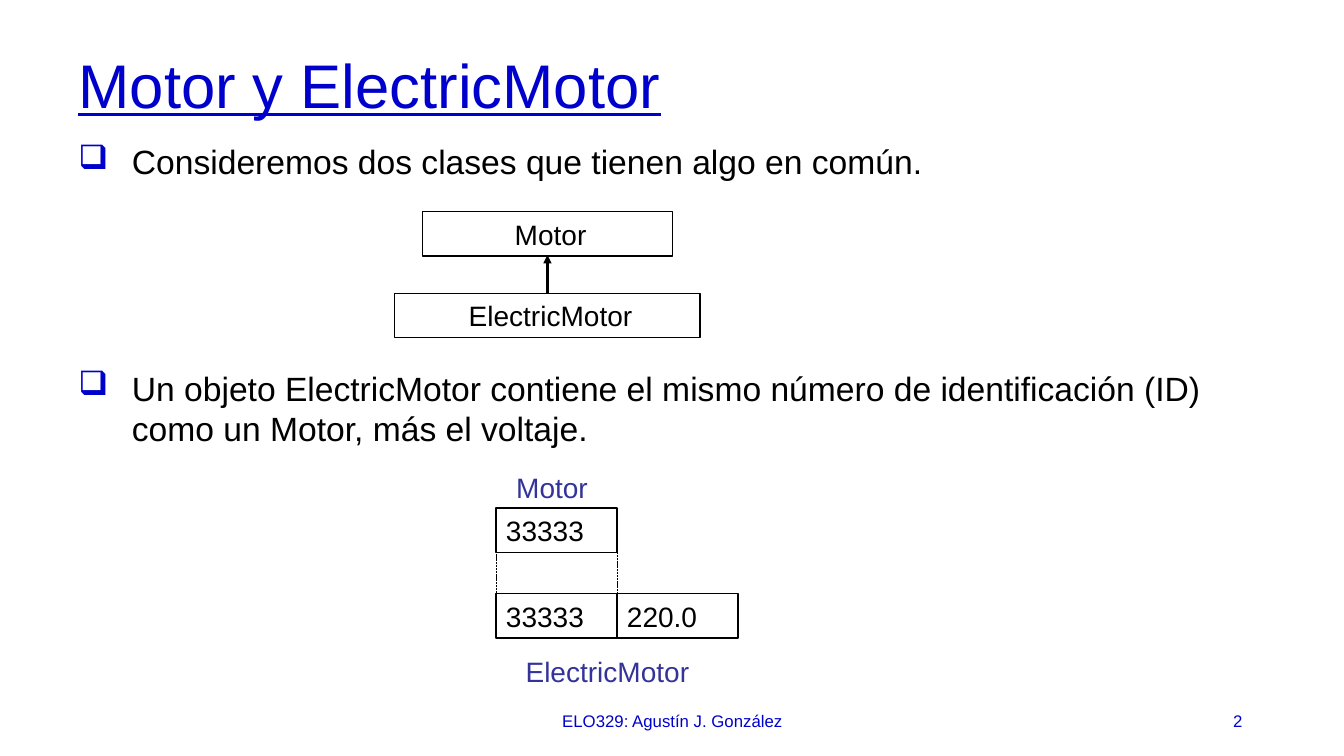
from lxml import etree
from pptx import Presentation
from pptx.dml.color import RGBColor
from pptx.enum import dml, shapes, text
from pptx.oxml.ns import qn
from pptx.util import Inches, Pt

BLUE, INDIGO, BLACK = "0000CC", "333399", "000000"
CENTER, LEFT, RIGHT = text.PP_ALIGN.CENTER, text.PP_ALIGN.LEFT, text.PP_ALIGN.RIGHT
TOP, MIDDLE = text.MSO_ANCHOR.TOP, text.MSO_ANCHOR.MIDDLE


def rgb(color):
    return RGBColor.from_string(color)


def write(shape, words, size=20, color=BLACK, align=LEFT, anchor=MIDDLE,
          underline=False, bullet=None, spacing=None, indent=0):
    """Fill the shape's frame with one formatted paragraph."""
    frame = shape.text_frame
    frame.word_wrap = True
    frame.vertical_anchor = anchor
    frame.margin_left = Inches(0.1 + indent)
    paragraph = frame.paragraphs[0]
    paragraph.alignment = align
    if spacing:
        paragraph.line_spacing = spacing
    if bullet:
        hanging = Inches(0.53)
        properties = paragraph._p.get_or_add_pPr()
        properties.set("marL", str(hanging))
        properties.set("indent", str(-hanging))
        bullet_color = etree.SubElement(properties, qn("a:buClr"))
        etree.SubElement(bullet_color, qn("a:srgbClr"), val=BLUE)
        etree.SubElement(properties, qn("a:buChar"), char=bullet)
    run = paragraph.add_run()
    run.text = words
    run.font.name = "Arial"
    run.font.size = Pt(size)
    run.font.color.rgb = rgb(color)
    if underline:
        run.font.underline = True


class ClassSlide:
    def __init__(self, slide):
        self.shapes = slide.shapes

    def text(self, words, left, top, width, height, **style):
        area = self.shapes.add_textbox(*map(Inches, (left, top, width, height)))
        write(area, words, **style)

    def bullet(self, words, top, height):
        self.text(words, 0.68, top, 12.08, height, size=24, anchor=TOP, bullet="❑")

    def box(self, words, left, top, width, **style):
        box = self.shapes.add_shape(shapes.MSO_SHAPE.RECTANGLE,
                                    *map(Inches, (left, top, width, 0.44)))
        box.shadow.inherit = False
        box.fill.background()
        box.line.color.rgb = rgb(BLACK)
        box.line.width = Pt(1)
        write(box, words, **style)

    def vertical(self, x, start, end, width, dashed=False, arrow=False):
        line = self.shapes.add_connector(shapes.MSO_CONNECTOR.STRAIGHT,
                                         *map(Inches, (x, start, x, end)))
        line.line.color.rgb = rgb(BLACK)
        line.line.width = Pt(width)
        if dashed:
            line.line.dash_style = dml.MSO_LINE.SQUARE_DOT
        if arrow:
            etree.SubElement(line.line._get_or_add_ln(), qn("a:tailEnd"), type="triangle")
        etree.SubElement(line._element.spPr, qn("a:effectLst"))


def main():
    deck = Presentation()
    deck.slide_width, deck.slide_height = Inches(13.33), Inches(7.5)
    page = ClassSlide(deck.slides.add_slide(deck.slide_layouts[6]))

    page.text("Motor y ElectricMotor", 0.68, 0.4, 12.08, 0.95,
              size=44, color=BLUE, underline=True, spacing=0.9)
    page.bullet("Consideremos dos clases que tienen algo en común.", 1.35, 2.75)
    page.bullet("Un objeto ElectricMotor contiene el mismo número de identificación (ID) "
                "como un Motor, más el voltaje.", 3.6, 2.72)

    # Inheritance diagram
    axis = 5.43
    for name, top, width in (("Motor", 2.1, 2.48), ("ElectricMotor", 2.91, 3.03)):
        page.box(name, axis - width / 2, top, width, align=CENTER, indent=0.06)
    page.vertical(axis, 2.91, 2.53, 1.5, arrow=True)

    # Memory layout of both objects
    field_left, field_width = 4.92, 1.2
    voltage_left = field_left + field_width
    motor_top, electric_top = 5.04, 5.89
    for value, left, top in (("33333", field_left, motor_top),
                             ("33333", field_left, electric_top),
                             ("220.0", voltage_left, electric_top)):
        page.box(value, left, top, field_width)
    page.vertical(field_left, 5.35, 6.25, 0.5, dashed=True)
    page.vertical(voltage_left, 5.25, 6.15, 0.5, dashed=True)
    for name, left, top, width in (("Motor", 4.65, 4.62, 1.65),
                                   ("ElectricMotor", 3.91, 6.44, 4.23)):
        page.text(name, left, top, width, 0.43, color=INDIGO, align=CENTER)

    footer = {"size": 12, "color": BLUE}
    page.text("ELO329: Agustín J. González", 4.42, 6.95, 4.5, 0.4, align=CENTER, **footer)
    page.text("2", 9.42, 6.95, 3, 0.4, align=RIGHT, **footer)

    deck.save("out.pptx")


if __name__ == "__main__":
    main()
